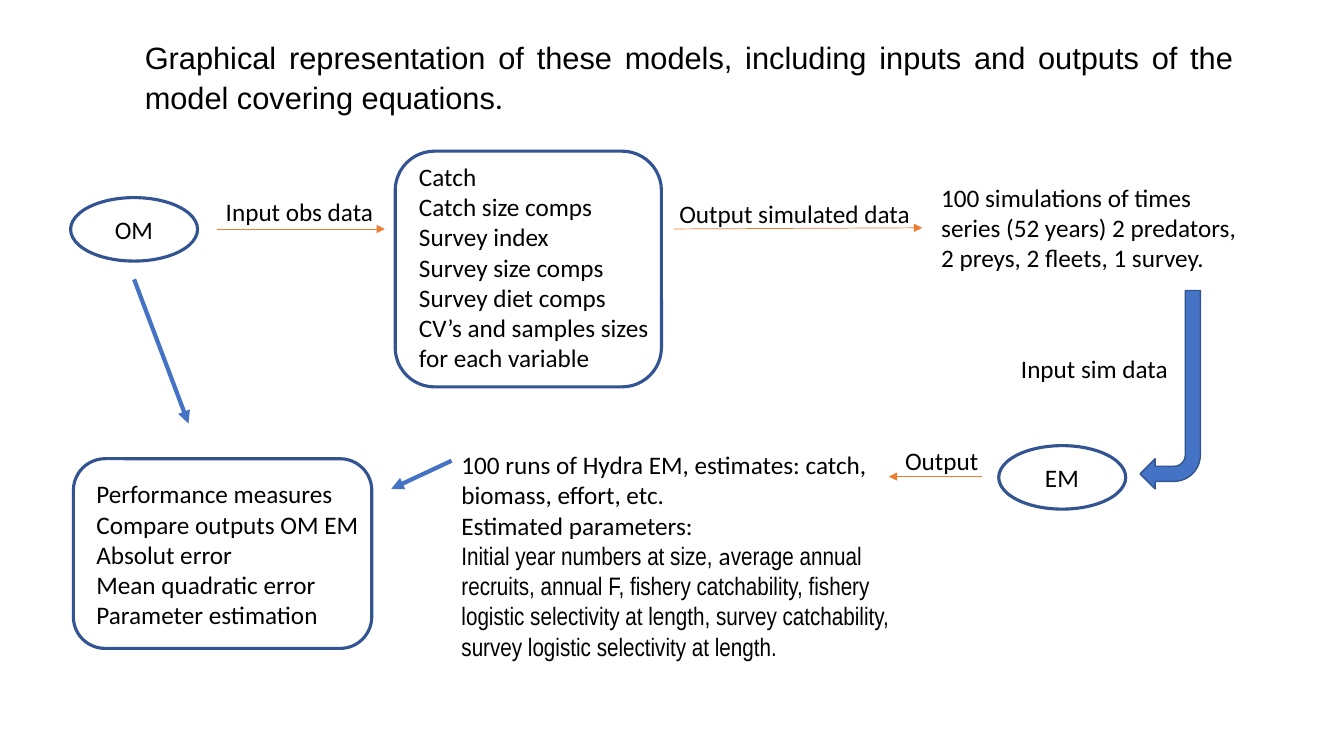
from lxml import etree
from pptx import Presentation
from pptx.dml.color import RGBColor
from pptx.enum.shapes import MSO_CONNECTOR, MSO_SHAPE
from pptx.enum.text import MSO_AUTO_SIZE, PP_ALIGN
from pptx.oxml.ns import qn
from pptx.util import Cm, Pt

STRAIGHT = MSO_CONNECTOR.STRAIGHT
ELLIPSE = MSO_SHAPE.OVAL
ROUNDED = MSO_SHAPE.ROUNDED_RECTANGLE
BENT_ARROW = MSO_SHAPE.BENT_ARROW
GROW = MSO_AUTO_SIZE.SHAPE_TO_FIT_TEXT
LEFT, JUSTIFY = PP_ALIGN.LEFT, PP_ALIGN.JUSTIFY

COLORS = {"text": "000000", "outline": "325491", "blue": "4472C4", "orange": "ED7D31"}
BODY, HEADING, NARROW = "Calibri", "Arial", "Arial Narrow"
NODE_WIDTH, NODE_HEIGHT = 3.2, 1.6
LABEL_HEIGHT = 1.02


def color(name):
    return RGBColor.from_string(COLORS[name])


def write(box, paragraphs, size=18, align=LEFT, indent=0, spacing=None):
    frame = box.text_frame
    for index, spans in enumerate(paragraphs):
        para = frame.paragraphs[0] if index == 0 else frame.add_paragraph()
        para.alignment = align
        if spacing:
            para.line_spacing = spacing
        if indent:
            properties = para._p.get_or_add_pPr()
            properties.set("marL", str(Cm(indent)))
            properties.set("indent", "0")
        if isinstance(spans, str):
            spans = [(spans, BODY)]
        for text, font in spans:
            span = para.add_run()
            span.text = text
            span.font.name = font
            span.font.size = Pt(size)
            span.font.color.rgb = color("text")


class Diagram:
    def __init__(self, deck):
        self.page = deck.slides.add_slide(deck.slide_layouts[6])

    def text(self, left, top, width, height, paragraphs, wrap=True, **style):
        box = self.page.shapes.add_textbox(Cm(left), Cm(top), Cm(width), Cm(height))
        box.text_frame.word_wrap = wrap
        box.text_frame.auto_size = GROW
        write(box, paragraphs, **style)

    def label(self, left, top, width, text):
        self.text(left, top, width, LABEL_HEIGHT, [text], wrap=False)

    def shape(self, kind, left, top, width, height, fill=None, line_width=2.25):
        shape = self.page.shapes.add_shape(kind, Cm(left), Cm(top), Cm(width), Cm(height))
        shape.shadow.inherit = False
        if fill:
            shape.fill.solid()
            shape.fill.fore_color.rgb = color(fill)
        else:
            shape.fill.background()
        shape.line.color.rgb = color("outline")
        shape.line.width = Pt(line_width)
        return shape

    def node(self, left, top, text, label_width):
        self.shape(ELLIPSE, left, top, NODE_WIDTH, NODE_HEIGHT)
        self.label(left + (NODE_WIDTH - label_width) / 2,
                   top + (NODE_HEIGHT - LABEL_HEIGHT) / 2, label_width, text)

    def arrow(self, start, end, line_color="orange", line_width=0.5):
        line = self.page.shapes.add_connector(STRAIGHT, *map(Cm, start + end))
        line.line.color.rgb = color(line_color)
        line.line.width = Pt(line_width)
        etree.SubElement(line.line._get_or_add_ln(), qn("a:tailEnd"), type="triangle")
        etree.SubElement(line._element.spPr, qn("a:effectLst"))


def main():
    deck = Presentation()
    deck.slide_width, deck.slide_height = Cm(33.87), Cm(19.05)
    diagram = Diagram(deck)

    diagram.text(2.13, 0.79, 29.21, 2.34, [[
        ("Graphical representation of these models, including inputs and outputs "
         "of the model covering equations", HEADING), (".", BODY)]],
        size=22, align=JUSTIFY, indent=1.27, spacing=1.07)

    diagram.node(1.78, 4.98, "OM", 1.47)
    diagram.node(25.17, 11.23, "EM", 1.37)

    diagram.arrow((5.46, 5.77), (9.7, 5.77))
    diagram.label(5.44, 4.83, 4.27, "Input obs data")

    diagram.shape(ROUNDED, 9.96, 3.81, 6.71, 5.94)
    diagram.text(10.31, 3.94, 6.35, 6.4, [
        "Catch", "Catch size comps", "Survey index", "Survey size comps",
        "Survey diet comps", "CV’s and samples sizes", "for each variable"], wrap=False)

    diagram.label(16.87, 4.88, 6.38, "Output simulated data")
    diagram.arrow((16.99, 5.77), (23.24, 5.74))
    diagram.text(23.47, 4.47, 8.31, 2.57, [
        "100 simulations of times series (52 years) 2 predators, 2 preys, 2 fleets, 1 survey."])

    diagram.label(25.48, 8.79, 4.27, "Input sim data")
    turn = diagram.shape(BENT_ARROW, 28.73, 7.32, 1.52, 5, fill="blue", line_width=1)
    turn.rotation = 180

    diagram.arrow((24.74, 12.01), (22.4, 12.01))
    diagram.label(22.56, 11.1, 2.39, "Output")
    diagram.text(11.38, 11.2, 12.32, 6.4, [
        "100 runs of Hydra EM, estimates: catch, biomass, effort, etc.",
        "Estimated parameters:",
        [("Initial year numbers at size, ", NARROW), ("a", BODY),
         ("verage annual recruits, annual F, fishery catchability, fishery logistic "
          "selectivity at length, survey catchability, survey logistic selectivity "
          "at length.", NARROW)]])

    diagram.arrow((3.38, 7.04), (4.75, 10.67), "blue", 3)
    diagram.arrow((11.38, 11.61), (9.86, 12.32), "blue", 3)
    diagram.text(2.18, 11.94, 7.52, 5.64, [
        "Performance measures", "Compare outputs OM EM", "Absolut error",
        "Mean quadratic error", "Parameter estimation"])
    diagram.shape(ROUNDED, 1.85, 11.56, 7.52, 4.78)

    deck.save("out.pptx")


if __name__ == "__main__":
    main()
